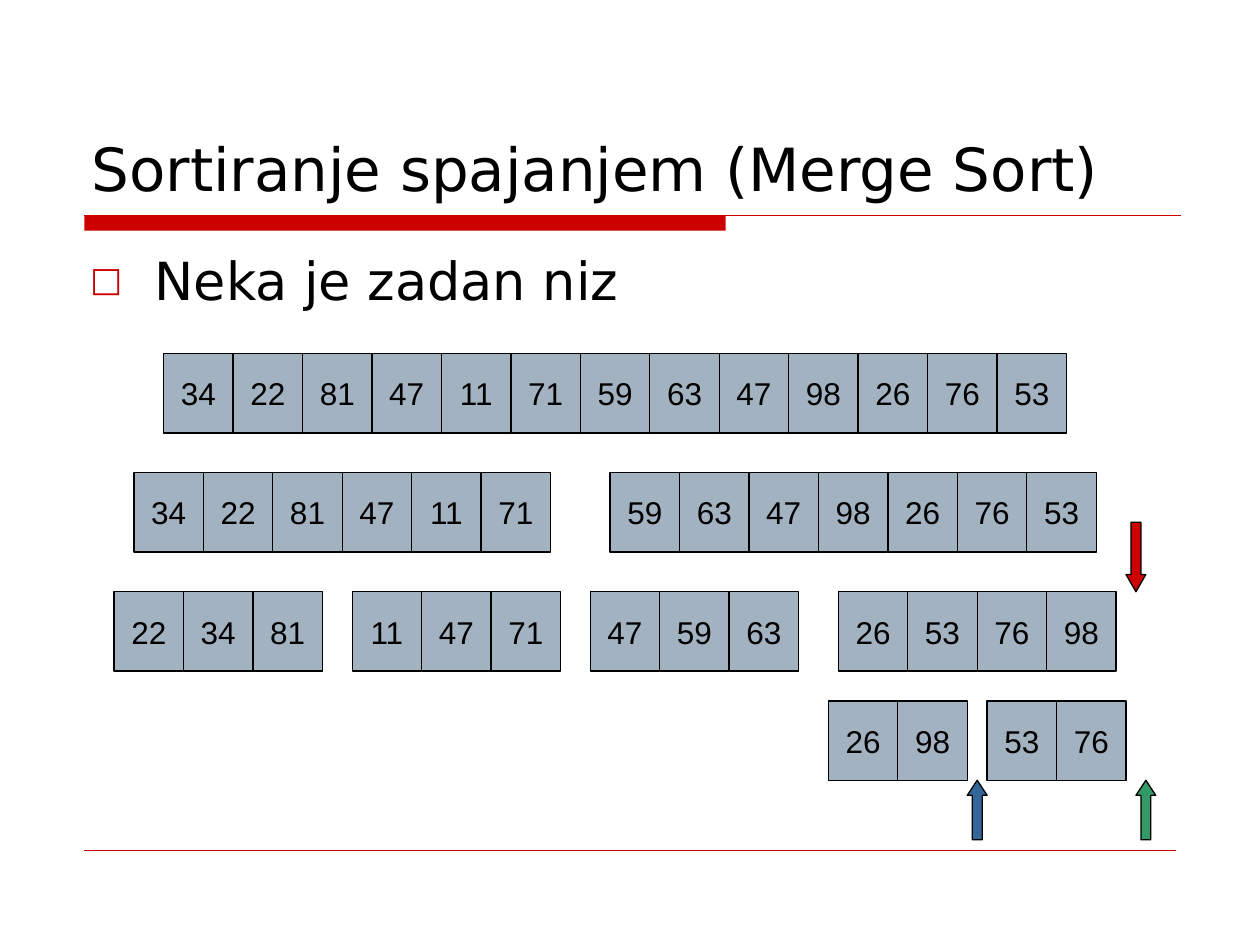
from lxml.etree import SubElement
from pptx import Presentation
from pptx.dml.color import RGBColor
from pptx.enum.shapes import MSO_CONNECTOR, MSO_SHAPE
from pptx.enum.text import MSO_ANCHOR, PP_ALIGN
from pptx.oxml.ns import qn
from pptx.util import Cm, Pt

COLORS = {
    "accent": "CC0000",
    "cell": "A3B2C1",
    "ink": "000000",
    "blue": "336699",
    "green": "339966",
}
HEADING_FONT = "DejaVu Sans"
CELL_FONT = "Arial"
CELL_WIDTH = 1.4
CELL_HEIGHT = 1.6
ARROW_WIDTH = 0.4

ARRAYS = [
    (3.3, 7.13, [34, 22, 81, 47, 11, 71, 59, 63, 47, 98, 26, 76, 53]),
    (2.7, 9.53, [34, 22, 81, 47, 11, 71]),
    (12.3, 9.53, [59, 63, 47, 98, 26, 76, 53]),
    (2.3, 11.93, [22, 34, 81]),
    (7.1, 11.93, [11, 47, 71]),
    (11.9, 11.93, [47, 59, 63]),
    (16.9, 11.93, [26, 53, 76, 98]),
    (16.7, 14.13, [26, 98]),
    (19.9, 14.13, [53, 76]),
]


def color(name):
    return RGBColor.from_string(COLORS[name])


def add_span(para, text, font, size):
    span = para.add_run()
    span.text = text
    span.font.name = font
    span.font.size = Pt(size)
    span.font.color.rgb = color("ink")


def add_text(page, left, top, width, height, text, size, anchor):
    box = page.shapes.add_textbox(Cm(left), Cm(top), Cm(width), Cm(height))
    box.text_frame.word_wrap = True
    box.text_frame.vertical_anchor = anchor
    para = box.text_frame.paragraphs[0]
    add_span(para, text, HEADING_FONT, size)
    return para


def add_bullet(para, symbol, percent, indent):
    para.space_before = Pt(7.5)
    properties = para._p.get_or_add_pPr()
    properties.set("marL", str(Cm(indent)))
    properties.set("indent", str(-Cm(indent)))
    bullet_color = SubElement(properties, qn("a:buClr"))
    SubElement(bullet_color, qn("a:srgbClr"), val=COLORS["accent"])
    SubElement(properties, qn("a:buSzPct"), val=str(percent * 1000))
    SubElement(properties, qn("a:buFont"), typeface=HEADING_FONT)
    SubElement(properties, qn("a:buChar"), char=symbol)


def add_figure(page, kind, left, top, width, height, fill, outlined=True):
    figure = page.shapes.add_shape(kind, Cm(left), Cm(top), Cm(width), Cm(height))
    figure.shadow.inherit = False
    figure.fill.solid()
    figure.fill.fore_color.rgb = color(fill)
    if outlined:
        figure.line.color.rgb = color("ink")
        figure.line.width = Pt(0.75)
    else:
        figure.line.fill.background()
    return figure


def add_rule(page, left, right, top, weight):
    rule = page.shapes.add_connector(
        MSO_CONNECTOR.STRAIGHT, Cm(left), Cm(top), Cm(right), Cm(top)
    )
    rule.line.color.rgb = color("accent")
    rule.line.width = Pt(weight)
    SubElement(rule._element.spPr, qn("a:effectLst"))


def add_array(page, left, top, numbers):
    for index, number in enumerate(numbers):
        cell = add_figure(page, MSO_SHAPE.RECTANGLE, left + index * CELL_WIDTH, top,
                          CELL_WIDTH, CELL_HEIGHT, "cell")
        frame = cell.text_frame
        frame.word_wrap = False
        frame.vertical_anchor = MSO_ANCHOR.MIDDLE
        para = frame.paragraphs[0]
        para.alignment = PP_ALIGN.CENTER
        add_span(para, str(number), CELL_FONT, 18)


def add_arrow(page, kind, left, top, height, fill, head):
    arrow = add_figure(page, kind, left, top, ARROW_WIDTH, height, fill)
    arrow.adjustments[0] = 0.5
    arrow.adjustments[1] = head


def main():
    deck = Presentation()
    deck.slide_width = Cm(25.4)
    deck.slide_height = Cm(19.05)
    page = deck.slides.add_slide(deck.slide_layouts[6])

    add_figure(page, MSO_SHAPE.RECTANGLE, 1.7, 4.35, 12.93, 0.3, "accent", outlined=False)
    add_rule(page, 1.7, 23.8, 4.35, 0.75)
    add_rule(page, 1.7, 23.7, 17.15, 0.25)

    intro = add_text(page, 1.57, 4.88, 22.23, 11.86, "Neka je zadan niz", 30, MSO_ANCHOR.TOP)
    add_bullet(intro, "□", 65, 1.3)

    for left, top, numbers in ARRAYS:
        add_array(page, left, top, numbers)

    add_text(page, 1.6, 0.84, 22.23, 3.38, "Sortiranje spajanjem (Merge Sort)", 34,
             MSO_ANCHOR.BOTTOM)
    add_arrow(page, MSO_SHAPE.UP_ARROW, 19.5, 15.73, 1.2, "blue", 0.76)
    add_arrow(page, MSO_SHAPE.UP_ARROW, 22.9, 15.73, 1.2, "green", 0.76)
    add_arrow(page, MSO_SHAPE.DOWN_ARROW, 22.7, 10.53, 1.4, "accent", 0.87)

    deck.save("out.pptx")


if __name__ == "__main__":
    main()
